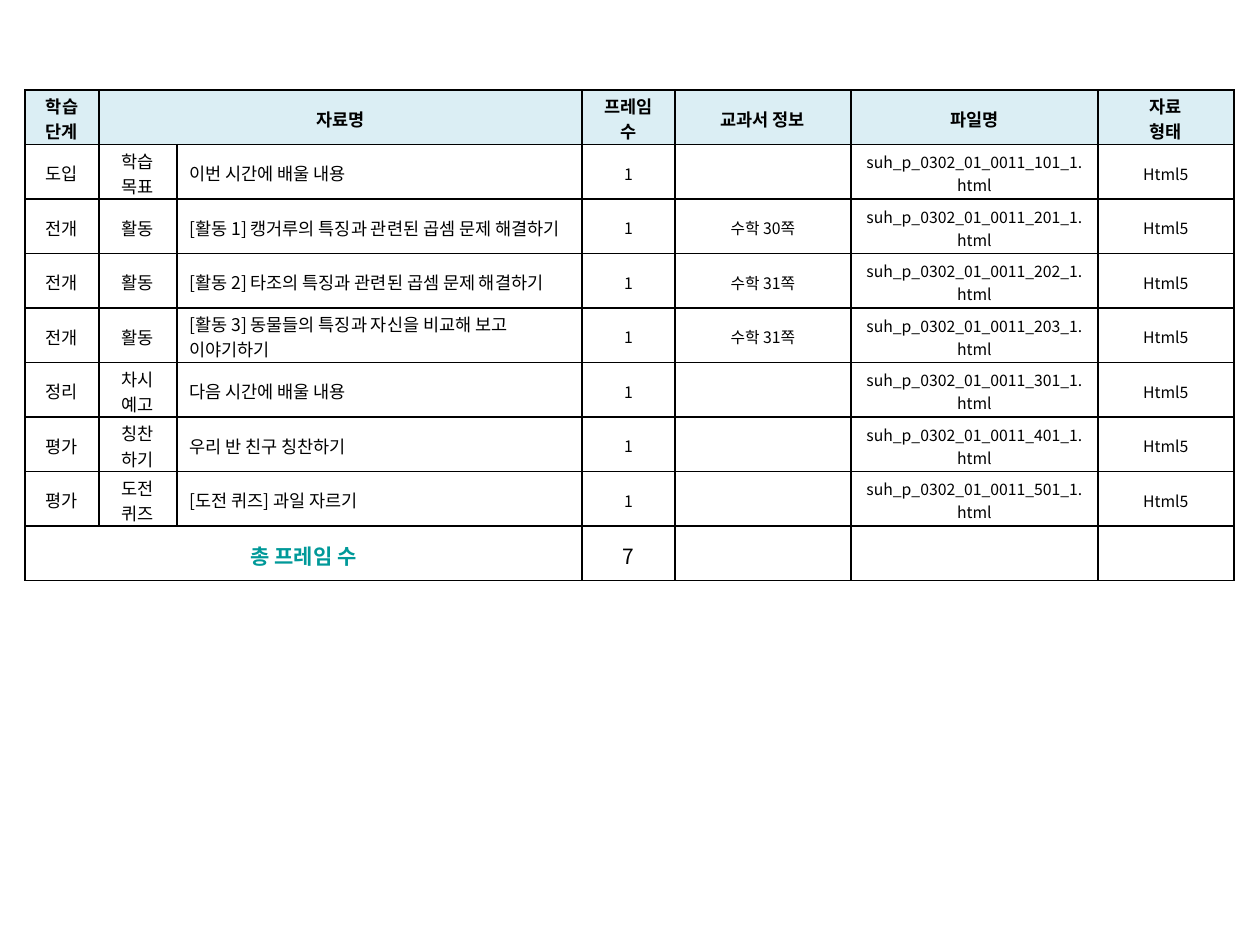
from lxml import etree
from pptx import Presentation
from pptx.dml.color import RGBColor
from pptx.enum.text import MSO_ANCHOR, PP_ALIGN
from pptx.oxml.ns import qn
from pptx.util import Emu, Pt

CENTER = PP_ALIGN.CENTER
LEFT = PP_ALIGN.LEFT
MIDDLE = MSO_ANCHOR.MIDDLE
BLACK = RGBColor(0x00, 0x00, 0x00)
TEAL = RGBColor(0x00, 0x99, 0x99)
HEADER_BLUE = RGBColor(0xDB, 0xEE, 0xF4)
FONT = "Noto Sans CJK KR"
DPI = 126

COLUMN_WIDTHS = [74, 78, 405, 93, 176, 247, 136]
TABLE_HEIGHT = 491
HEADERS = ["학습 단계", "자료명", "", "프레임 수", "교과서 정보", "파일명", "자료\n형태"]
LESSONS = [
    ("도입", "학습 목표", "이번 시간에 배울 내용", "", 101),
    ("전개", "활동", "[활동 1] 캥거루의 특징과 관련된 곱셈 문제 해결하기", "수학 30쪽", 201),
    ("전개", "활동", "[활동 2] 타조의 특징과 관련된 곱셈 문제 해결하기", "수학 31쪽", 202),
    ("전개", "활동", "[활동 3] 동물들의 특징과 자신을 비교해 보고 이야기하기", "수학 31쪽", 203),
    ("정리", "차시 예고", "다음 시간에 배울 내용", "", 301),
    ("평가", "칭찬\n하기", "우리 반 친구 칭찬하기", "", 401),
    ("평가", "도전\n퀴즈", "[도전 퀴즈] 과일 자르기", "", 501),
]


def px(value):
    return Emu(round(value * 914400 / DPI))


def write_text(cell, text, size=10, color=BLACK, bold=False, align=CENTER):
    for index, line in enumerate(text.split("\n")):
        frame = cell.text_frame
        para = frame.add_paragraph() if index else frame.paragraphs[0]
        para.alignment = align
        if not line:
            para.font.size = Pt(size)
            continue
        span = para.add_run()
        span.text = line
        span.font.name = FONT
        span.font.size = Pt(size)
        span.font.bold = bold
        span.font.color.rgb = color
        east_asian = etree.SubElement(span.font._element, qn("a:ea"))
        east_asian.set("typeface", FONT)


def style_cell(cell, fill=None):
    cell.vertical_anchor = MIDDLE
    cell.margin_left = cell.margin_right = Pt(7.2)
    cell.margin_top = px(3)
    cell.margin_bottom = 0
    properties = cell._tc.get_or_add_tcPr()
    for side in ("lnL", "lnR", "lnT", "lnB"):
        border = etree.SubElement(properties, qn(f"a:{side}"), w=str(Pt(1)))
        solid = etree.SubElement(border, qn("a:solidFill"))
        etree.SubElement(solid, qn("a:srgbClr"), val=str(BLACK))
    if fill is None:
        cell.fill.background()
    else:
        cell.fill.solid()
        cell.fill.fore_color.rgb = fill


def add_grid(page):
    row_count = len(LESSONS) + 2
    frame = page.shapes.add_table(
        row_count, len(COLUMN_WIDTHS), px(25), px(90),
        px(sum(COLUMN_WIDTHS)), px(TABLE_HEIGHT))
    table = frame.table
    table.first_row = False
    table.horz_banding = False
    for column, width in zip(table.columns, COLUMN_WIDTHS):
        column.width = px(width)
    for index, row in enumerate(table.rows):
        row.height = px(TABLE_HEIGHT / row_count)
        for cell in row.cells:
            style_cell(cell, None if index else HEADER_BLUE)
    return table


def fill_header(table):
    table.cell(0, 1).merge(table.cell(0, 2))
    for column, title in enumerate(HEADERS):
        write_text(table.cell(0, column), title, bold=True)


def fill_lessons(table):
    for row, (stage, kind, title, pages, number) in enumerate(LESSONS, 1):
        write_text(table.cell(row, 0), stage)
        write_text(table.cell(row, 1), kind)
        write_text(table.cell(row, 2), title, align=LEFT)
        details = ("1", pages, f"suh_p_0302_01_0011_{number}_1.html", "Html5")
        for column, detail in enumerate(details, 3):
            write_text(table.cell(row, column), detail, size=9)


def fill_total(table):
    last = len(LESSONS) + 1
    table.cell(last, 0).merge(table.cell(last, 2))
    write_text(table.cell(last, 0), "총 프레임 수", size=12, color=TEAL, bold=True)
    write_text(table.cell(last, 3), str(len(LESSONS)), size=12)


def main():
    deck = Presentation()
    deck.slide_width = px(10 * DPI)
    deck.slide_height = px(945)
    page = deck.slides.add_slide(deck.slide_layouts[6])
    table = add_grid(page)
    fill_header(table)
    fill_lessons(table)
    fill_total(table)
    deck.save("out.pptx")


if __name__ == "__main__":
    main()
